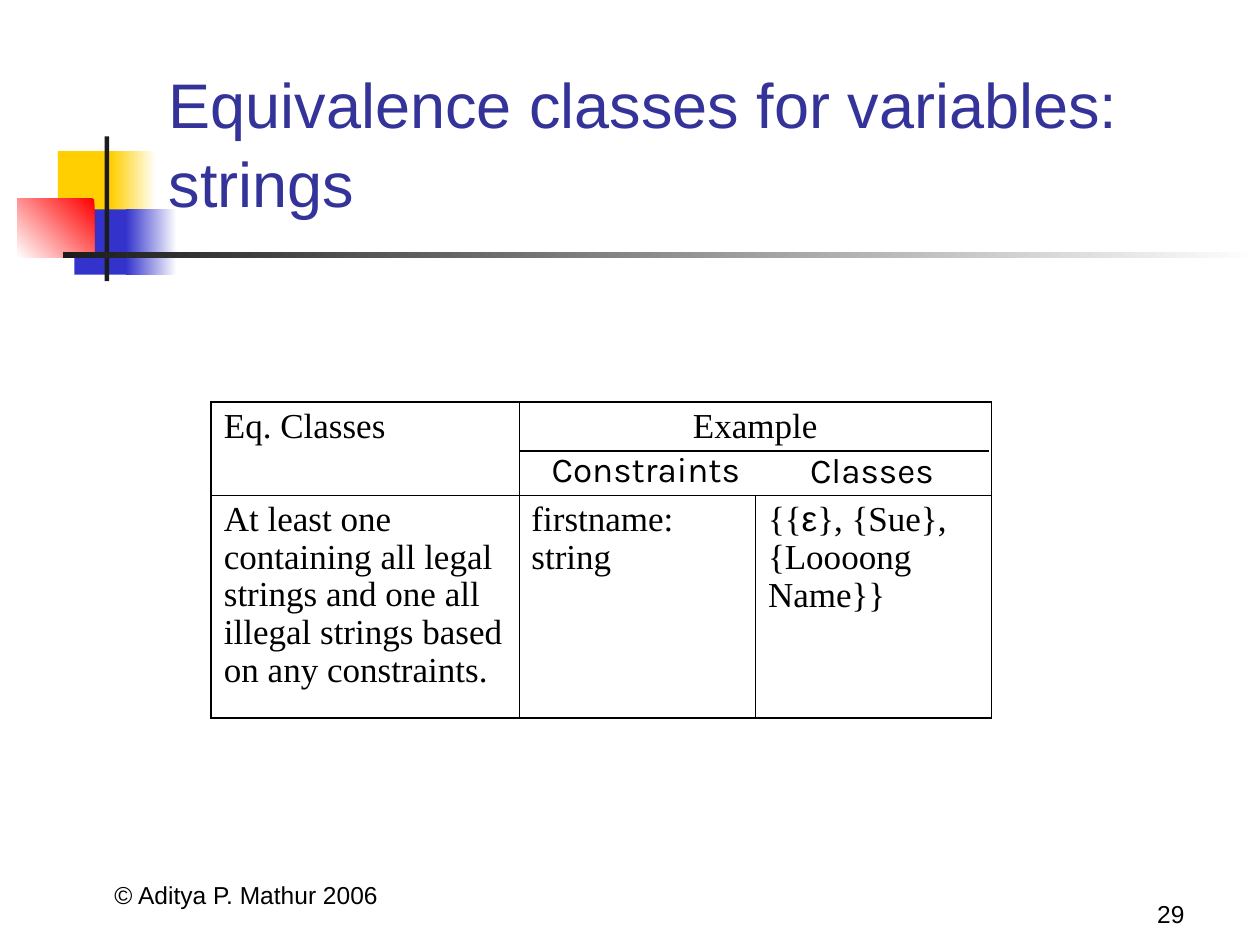
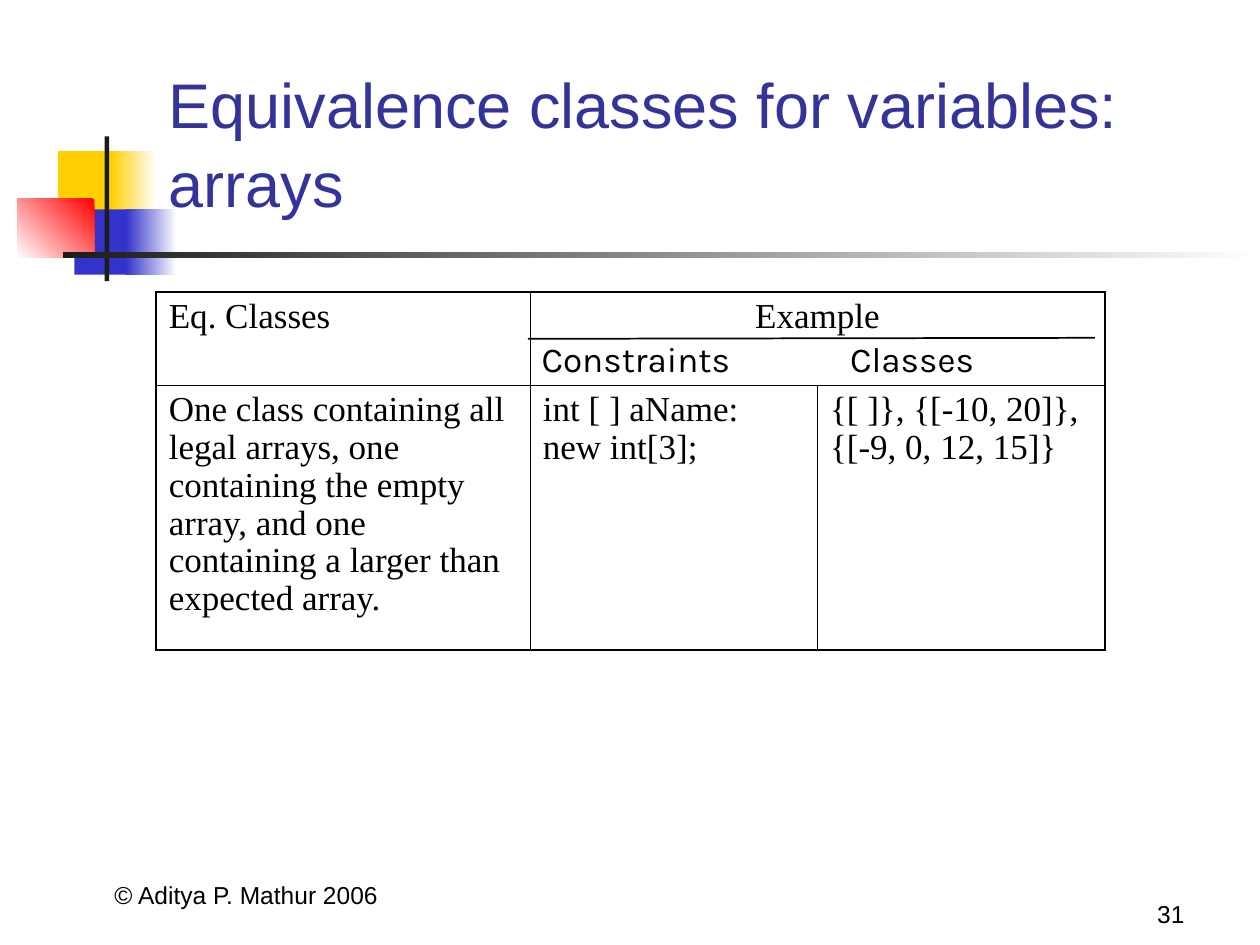
from lxml import etree
from pptx import Presentation
from pptx.dml.color import RGBColor
from pptx.enum.shapes import MSO_CONNECTOR, MSO_SHAPE
from pptx.enum.text import MSO_ANCHOR, MSO_AUTO_SIZE, PP_ALIGN
from pptx.oxml.ns import qn
from pptx.util import Cm, Pt

LEFT, CENTER, RIGHT = PP_ALIGN.LEFT, PP_ALIGN.CENTER, PP_ALIGN.RIGHT
TOP, BOTTOM = MSO_ANCHOR.TOP, MSO_ANCHOR.BOTTOM
NO_FIT = MSO_AUTO_SIZE.NONE
RECTANGLE, STRAIGHT = MSO_SHAPE.RECTANGLE, MSO_CONNECTOR.STRAIGHT

BLACK, WHITE, INK = "000000", "FFFFFF", "1C1C1C"
YELLOW, BLUE, RED, TITLE_BLUE = "FFCF01", "3333CC", "FF0000", "333399"
SANS, SERIF, LABEL_FONT = "Arial", "Times New Roman", "Karla"
OUTER_LINE, INNER_LINE = 1.08, 0.45
HEADER_HEIGHT = 1.88
LABEL_SIZE = (4.62, 1.12)


def color(hex_value):
    return RGBColor.from_string(hex_value)


def write(frame, spans, size, font, ink=BLACK, align=LEFT, spacing=1.0):
    """Fill the first paragraph with spans of (text, font or None)."""
    para = frame.paragraphs[0]
    para.alignment = align
    para.line_spacing = spacing
    for text, own_font in spans:
        span = para.add_run()
        span.text = text
        formats = {"size": Pt(size), "name": own_font or font, "bold": False}
        for name, value in formats.items():
            setattr(span.font, name, value)
        span.font.color.rgb = color(ink)


def set_frame(frame, anchor):
    formats = {
        "word_wrap": True, "auto_size": NO_FIT, "vertical_anchor": anchor,
        "margin_left": Cm(0.25), "margin_right": Cm(0.25),
        "margin_top": Cm(0.13), "margin_bottom": Cm(0.13),
    }
    for name, value in formats.items():
        setattr(frame, name, value)


def add_text(page, box, text, size, font, align=LEFT, anchor=TOP):
    frame = page.shapes.add_textbox(*map(Cm, box)).text_frame
    set_frame(frame, anchor)
    write(frame, [(text, None)], size, font, align=align)


# Shared motif: coloured squares and crossing bars
def add_block(page, box, start, end=None, angle=0):
    block = page.shapes.add_shape(RECTANGLE, *map(Cm, box))
    block.shadow.inherit = False
    block.line.fill.background()
    if end is None:
        block.fill.solid()
        block.fill.fore_color.rgb = color(start)
    else:
        block.fill.gradient()
        block.fill.gradient_angle = angle
        for stop, shade in zip(block.fill.gradient_stops, (start, end)):
            stop.color.rgb = color(shade)
    return block


def decorate_layout(layout, page):
    """Draw the motif once and hand it to the layout behind every slide."""
    blocks = [
        ((1.17, 3.05, 1.22, 1.32), YELLOW),
        ((2.24, 3.05, 0.91, 1.32), YELLOW, WHITE),
        ((1.5, 4.22, 1.17, 1.32), BLUE),
        ((2.54, 4.22, 1.02, 1.32), BLUE, WHITE),
        ((0.35, 4.01, 1.55, 1.18), RED, WHITE, 225),
        ((2.11, 2.75, 0.09, 2.92), INK),
        ((1.27, 5.08, 24.13, 0.13), INK, WHITE),
    ]
    for block in blocks:
        layout.shapes._spTree.append(add_block(page, *block)._element)


# Title and footer
def add_title(page, text):
    title = page.shapes.title
    box = {"left": 3.15, "top": 2.77, "width": 21.64, "height": 1.8}
    for name, value in box.items():
        setattr(title, name, Cm(value))
    set_frame(title.text_frame, BOTTOM)
    write(title.text_frame, [(text, None)], 36, SANS, TITLE_BLUE, spacing=1.05)


def add_footer(page, number):
    add_text(page, (0.94, 17.2, 8.05, 1.27), "© Aditya P. Mathur 2006",
             14, SANS, CENTER, BOTTOM)
    add_text(page, (18.85, 17.58, 5.28, 1.27), str(number),
             14, SANS, RIGHT, BOTTOM)


# Table of equivalence classes
def set_borders(cell, widths):
    properties = cell._tc.get_or_add_tcPr()
    for place, (side, width) in enumerate(widths.items()):
        line = etree.Element(qn(f"a:ln{side}"), w=str(Pt(width)))
        fill = etree.SubElement(line, qn("a:solidFill"))
        etree.SubElement(fill, qn("a:srgbClr"), val=BLACK)
        properties.insert(place, line)


def add_class_table(page, left, top, columns, body_height, body):
    heights = (HEADER_HEIGHT, body_height)
    table = page.shapes.add_table(
        2, 3, Cm(left), Cm(top), Cm(sum(columns)), Cm(sum(heights))).table
    table.first_row = table.horz_banding = False
    for column, width in zip(table.columns, columns):
        column.width = Cm(width)
    for row, height in zip(table.rows, heights):
        row.height = Cm(height)
    table.cell(0, 1).merge(table.cell(0, 2))

    header = [[("Eq. Classes", None)], [("Example", None)], []]
    for row, contents in enumerate((header, body)):
        for col, spans in enumerate(contents):
            cell = table.cell(row, col)
            cell.fill.background()
            at_edge = {
                "L": col == 0,
                "R": col == 2 or cell.is_merge_origin,
                "T": row == 0,
                "B": row == 1,
            }
            set_borders(cell, {side: OUTER_LINE if edge else INNER_LINE
                               for side, edge in at_edge.items()})
            align = CENTER if cell.is_merge_origin else LEFT
            write(cell.text_frame, spans, 20, SERIF, align=align, spacing=0.97)


def add_example_heads(page, left, top, rule, labels):
    """Split the Example header; places are relative to the table corner."""
    x1, y1, x2, y2 = rule
    line = page.shapes.add_connector(
        STRAIGHT, Cm(left + x1), Cm(top + y1), Cm(left + x2), Cm(top + y2))
    line.line.width = Pt(1)
    line.line.color.rgb = color(BLACK)
    etree.SubElement(line._element.spPr, qn("a:effectLst"))
    for text, (x, y) in zip(("Constraints", "Classes"), labels):
        add_text(page, (left + x, top + y, *LABEL_SIZE), text, 20, LABEL_FONT)


def build_page(page, topic, number, corner, columns, body_height, body,
               rule, labels):
    add_footer(page, number)
    add_title(page, f"Equivalence classes for variables: {topic}")
    add_class_table(page, *corner, columns, body_height, body)
    add_example_heads(page, *corner, rule, labels)


PAGES = [
    {
        "topic": "strings", "number": 29, "corner": (4.26, 8.1),
        "columns": (6.2, 4.77, 4.76), "body_height": 4.5,
        "body": [
            [("At least one containing all legal strings and one all "
              "illegal strings based on any constraints.", None)],
            [("firstname: string", None)],
            [("{{", None), ("ε", SANS), ("}, {Sue}, {Loooong Name}}", None)],
        ],
        "rule": (6.23, 0.99, 15.68, 0.99),
        "labels": [(6.61, 0.79), (11.82, 0.82)],
    },
    {
        "topic": "arrays", "number": 31, "corner": (3.15, 5.89),
        "columns": (7.54, 5.79, 5.79), "body_height": 5.33,
        "body": [
            [("One class containing all legal arrays, one containing the "
              "empty array, and one containing a larger than expected "
              "array.", None)],
            [("int [ ] aName: new int[3];", None)],
            [("{[ ]}, {[-10, 20]}, {[-9, 0, 12, 15]}", None)],
        ],
        "rule": (7.49, 0.94, 18.92, 0.92),
        "labels": [(7.52, 0.79), (13.74, 0.79)],
    },
]


def main():
    deck = Presentation()
    deck.slide_width, deck.slide_height = Cm(25.4), Cm(19.05)
    layout = deck.slide_layouts[5]
    pages = [deck.slides.add_slide(layout) for _ in PAGES]
    decorate_layout(layout, pages[0])
    for page, content in zip(pages, PAGES):
        build_page(page, **content)
    deck.save("out.pptx")


if __name__ == "__main__":
    main()
